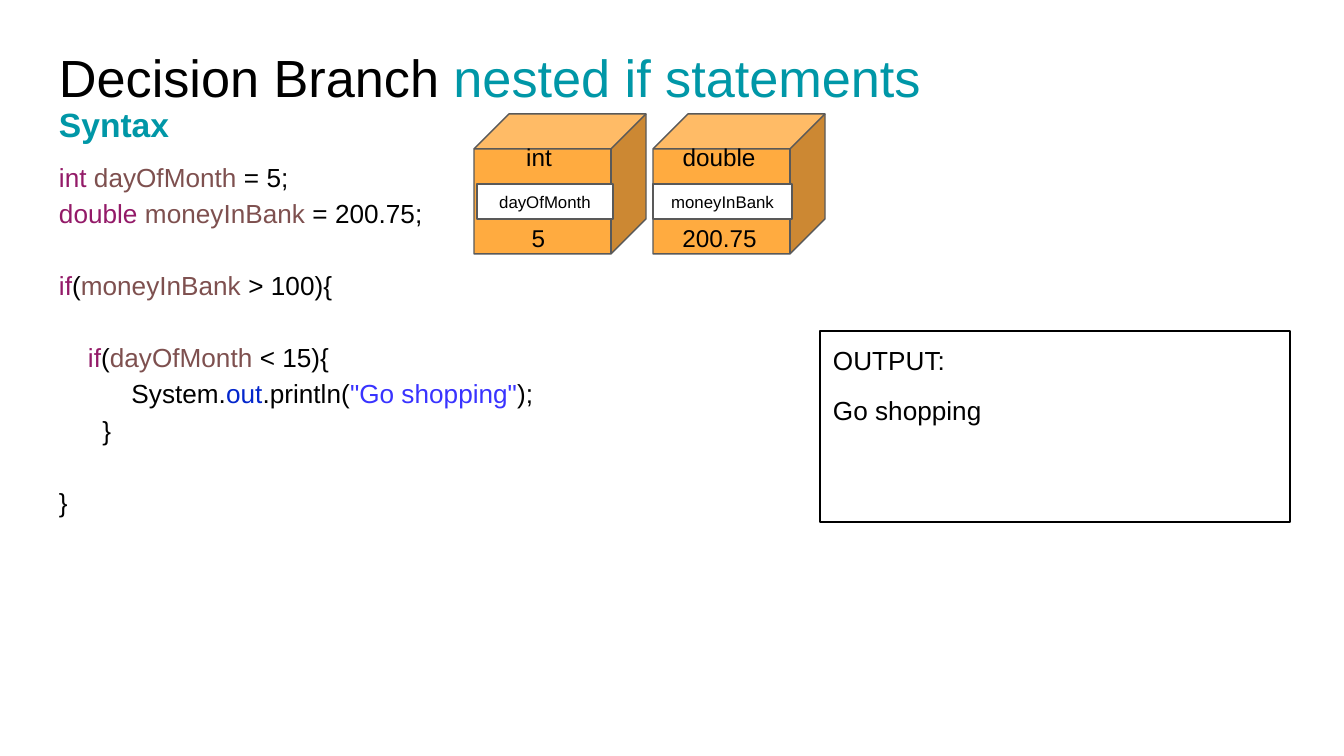
from pptx import Presentation
from pptx.dml.color import RGBColor
from pptx.enum.shapes import MSO_SHAPE
from pptx.enum.text import MSO_ANCHOR, PP_ALIGN
from pptx.util import Pt

RECT, CUBE = MSO_SHAPE.RECTANGLE, MSO_SHAPE.CUBE
TOP, MIDDLE = MSO_ANCHOR.TOP, MSO_ANCHOR.MIDDLE
LEFT, CENTER = PP_ALIGN.LEFT, PP_ALIGN.CENTER
PX = 914400 / 134.4
INSET = 13
SPACE = 7.25  # width of one code space, in px
BLANK_LINE = 19.3  # height of one empty code line, in points
COLORS = {
    "black": "000000", "white": "FFFFFF", "teal": "0097A7",
    "keyword": "931A68", "variable": "7E504F", "field": "0326CC",
    "string": "3933FF", "orange": "FFAB40", "gray": "595959",
}


def px(length):
    return round(length * PX)


def write(box, lines, size, align=LEFT, anchor=TOP, bold=False, spacing=None):
    """Each line is (indent in px, space before in points, [(text, colour)])."""
    frame = box.text_frame
    frame.word_wrap = True
    frame.vertical_anchor = anchor
    frame.margin_left = frame.margin_right = px(INSET)
    frame.margin_top = frame.margin_bottom = px(INSET)
    for number, (indent, before, spans) in enumerate(lines):
        para = frame.add_paragraph() if number else frame.paragraphs[0]
        para.alignment = align
        para.space_before = Pt(before)
        if spacing:
            para.line_spacing = spacing
        if indent:
            para._p.get_or_add_pPr().set("marL", str(px(indent)))
        for text, color in spans:
            span = para.add_run()
            span.text = text
            span.font.name = "Arial"
            span.font.size = Pt(size)
            span.font.bold = bold
            span.font.color.rgb = RGBColor.from_string(COLORS[color])


deck = Presentation()
deck.slide_width, deck.slide_height = px(1344), px(756)
page = deck.slides.add_slide(deck.slide_layouts[6])
shapes = page.shapes

# Title
title = shapes.add_textbox(px(46), px(32), px(1253), px(85))
write(title, [(0, 0, [("Decision Branch ", "black"),
                      ("nested if statements", "teal")])], 28)

# Code listing
code = [
    (0, 0, [("int ", "keyword"), ("dayOfMonth", "variable"), (" = 5;", "black")]),
    (0, 0, [("double ", "keyword"), ("moneyInBank", "variable"),
            (" = 200.75;", "black")]),
    (0, BLANK_LINE, [("if", "keyword"), ("(", "black"),
                     ("moneyInBank", "variable"), (" > 100){", "black")]),
    (4 * SPACE, BLANK_LINE, [("if", "keyword"), ("(", "black"),
                             ("dayOfMonth", "variable"), (" < 15){", "black")]),
    (10 * SPACE, 0, [("System.", "black"), ("out", "field"), (".println(", "black"),
                     ('"Go shopping"', "string"), (");", "black")]),
    (6 * SPACE, 0, [("}", "black")]),
    (0, BLANK_LINE, [("}", "black")]),
]
listing = shapes.add_textbox(px(46), px(144), px(626), px(598))
write(listing, code, 14, spacing=1.15)

# Subtitle
subtitle = shapes.add_textbox(px(46), px(91), px(727), px(85))
write(subtitle, [(0, 0, [("Syntax", "teal")])], 18, bold=True)

# Output panel
output = shapes.add_shape(RECT, px(820), px(331), px(470), px(191))
output.shadow.inherit = False
output.fill.background()
output.line.color.rgb = RGBColor.from_string(COLORS["black"])
output.line.width = Pt(0.75)
write(output, [(0, 0, [("OUTPUT:", "black")]),
               (0, 10, [("Go shopping", "black")])], 14)

# Variable cubes: cube left, then (text, left, width) of name, type and value
variables = [
    (474, ("dayOfMonth", 477, 136), ("int", 484, 110), ("5", 503, 71)),
    (653, ("moneyInBank", 653, 139), ("double", 664, 110), ("200.75", 653, 133)),
]
for cube_left, name, kind, value in variables:
    cube = shapes.add_shape(CUBE, px(cube_left), px(114), px(172), px(140))
    cube.adjustments[0] = 0.25
    text, left, width = name
    tag = shapes.add_shape(RECT, px(left), px(184), px(width), px(35))
    write(tag, [(0, 0, [(text, "black")])], 9, align=CENTER, anchor=MIDDLE)
    for shape, color in ((cube, "orange"), (tag, "white")):
        shape.shadow.inherit = False
        shape.fill.solid()
        shape.fill.fore_color.rgb = RGBColor.from_string(COLORS[color])
        shape.line.color.rgb = RGBColor.from_string(COLORS["gray"])
        shape.line.width = Pt(0.75)
    for (text, left, width), top, height in ((kind, 129, 48), (value, 210, 35)):
        label = shapes.add_textbox(px(left), px(top), px(width), px(height))
        write(label, [(0, 0, [(text, "black")])], 13, align=CENTER)

deck.save("out.pptx")
